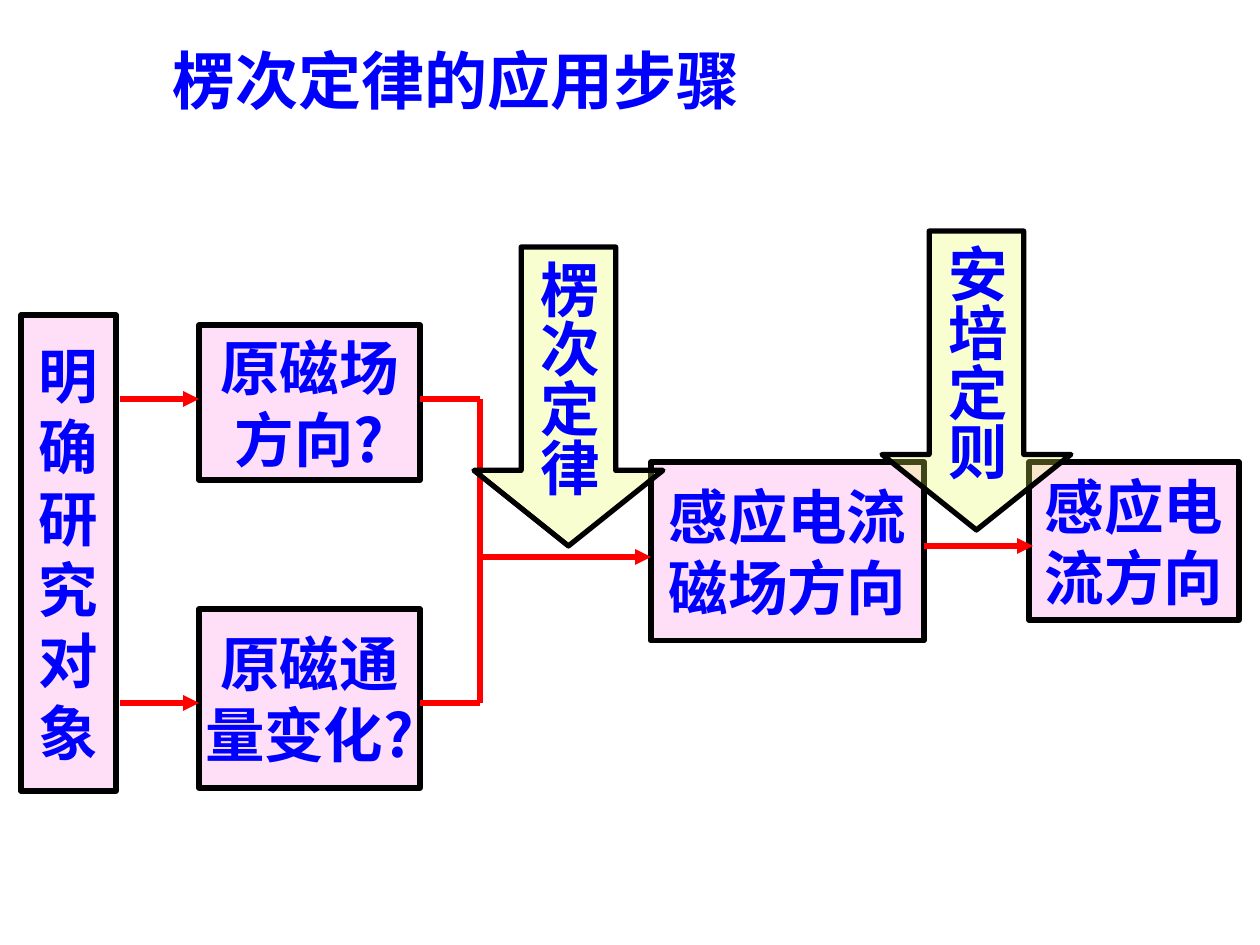
from dataclasses import dataclass

from lxml import etree
from pptx import Presentation
from pptx.dml.color import RGBColor
from pptx.enum.shapes import MSO_CONNECTOR, MSO_SHAPE
from pptx.enum.text import MSO_ANCHOR, PP_ALIGN
from pptx.oxml.ns import qn
from pptx.util import Emu, Pt

RECT, ARROW = MSO_SHAPE.RECTANGLE, MSO_SHAPE.DOWN_ARROW
LINE = MSO_CONNECTOR.STRAIGHT
MIDDLE, CENTER = MSO_ANCHOR.MIDDLE, PP_ALIGN.CENTER
SCALE = 914400 / 126
FONT = "Noto Sans CJK SC"
COLORS = {"text": "0000FF", "box": "FF69E2", "arrow": "EDFD59",
          "edge": "000000", "link": "FF0000"}


@dataclass
class Box:
    left: int
    top: int
    width: int
    height: int
    lines: list[str]


@dataclass
class Link:
    x1: int
    y1: int
    x2: int
    y2: int
    head: bool = True


BOXES = [
    Box(21, 315, 95, 476, list("明确研究对象")),
    Box(199, 609, 221, 179, ["原磁通", "量变化?"]),
    Box(199, 325, 221, 155, ["原磁场", "方向?"]),
    Box(651, 462, 273, 179, ["感应电流", "磁场方向"]),
    Box(1029, 462, 210, 158, ["感应电", "流方向"]),
]
LINKS = [
    Link(120, 399, 199, 399),
    Link(120, 703, 199, 703),
    Link(420, 399, 480, 399, False),
    Link(480, 399, 480, 703, False),
    Link(480, 703, 420, 703, False),
    Link(483, 557, 651, 557),
    Link(924, 546, 1033, 546),
]
TITLE = Box(160, 35, 858, 100, ["楞次定律的应用步骤"])
RULES = [
    Box(882, 231, 189, 299, ["安培定则"]),
    Box(474, 247, 189, 299, ["楞次定律"]),
]


def px(num: int) -> Emu:
    return Emu(round(num * SCALE))


def rgb(name: str) -> RGBColor:
    return RGBColor.from_string(COLORS[name])


def write(frame, lines: list[str], size: int, align=None) -> None:
    frame.word_wrap = False
    for i, line in enumerate(lines):
        para = frame.add_paragraph() if i else frame.paragraphs[0]
        para.alignment = align
        run = para.add_run()
        run.text = line
        font = run.font
        font.size, font.bold, font.name = Pt(size), True, FONT
        font.color.rgb = rgb("text")
        etree.SubElement(font._element, qn("a:ea"), typeface=FONT)


def draw(slide, kind, box: Box, fill: str, alpha: int):
    shape = slide.shapes.add_shape(
        kind, px(box.left), px(box.top), px(box.width), px(box.height))
    shape.shadow.inherit = False
    shape.fill.solid()
    shape.fill.fore_color.rgb = rgb(fill)
    tint = shape._element.spPr.find(qn("a:solidFill"))[0]
    etree.SubElement(tint, qn("a:alpha"), val=str(alpha * 1000))
    shape.line.color.rgb = rgb("edge")
    shape.line.width = Pt(3)
    shape.text_frame.vertical_anchor = MIDDLE
    write(shape.text_frame, box.lines, 34, CENTER)
    return shape


def point(slide, box: Box) -> None:
    shape = draw(slide, ARROW, box, "arrow", 28)
    shape.adjustments[0], shape.adjustments[1] = 0.5, 0.4
    frame = shape.text_frame
    frame.margin_left = frame.margin_right = px(6)
    frame.margin_top = frame.margin_bottom = px(13)
    frame._txBody.bodyPr.set("vert", "eaVert")


def join(slide, link: Link) -> None:
    wire = slide.shapes.add_connector(
        LINE, px(link.x1), px(link.y1), px(link.x2), px(link.y2))
    wire.line.color.rgb = rgb("link")
    wire.line.width = Pt(3)
    if link.head:
        etree.SubElement(wire.line._get_or_add_ln(), qn("a:tailEnd"),
                         type="triangle")
    etree.SubElement(wire._element.spPr, qn("a:effectLst"))


def head(slide, box: Box) -> None:
    text = slide.shapes.add_textbox(
        px(box.left), px(box.top), px(box.width), px(box.height))
    write(text.text_frame, box.lines, 36)
    font = text.text_frame.paragraphs[0].runs[0].font
    edge = etree.Element(qn("a:ln"), w=str(Pt(0.75)))
    fill = etree.SubElement(edge, qn("a:solidFill"))
    etree.SubElement(fill, qn("a:srgbClr"), val=COLORS["text"])
    font._element.insert(0, edge)


def main() -> None:
    deck = Presentation()
    deck.slide_width, deck.slide_height = px(1260), px(945)
    slide = deck.slides.add_slide(deck.slide_layouts[6])
    for box in BOXES:
        draw(slide, RECT, box, "box", 21)
    for link in LINKS:
        join(slide, link)
    head(slide, TITLE)
    for rule in RULES:
        point(slide, rule)
    deck.save("out.pptx")


if __name__ == "__main__":
    main()
